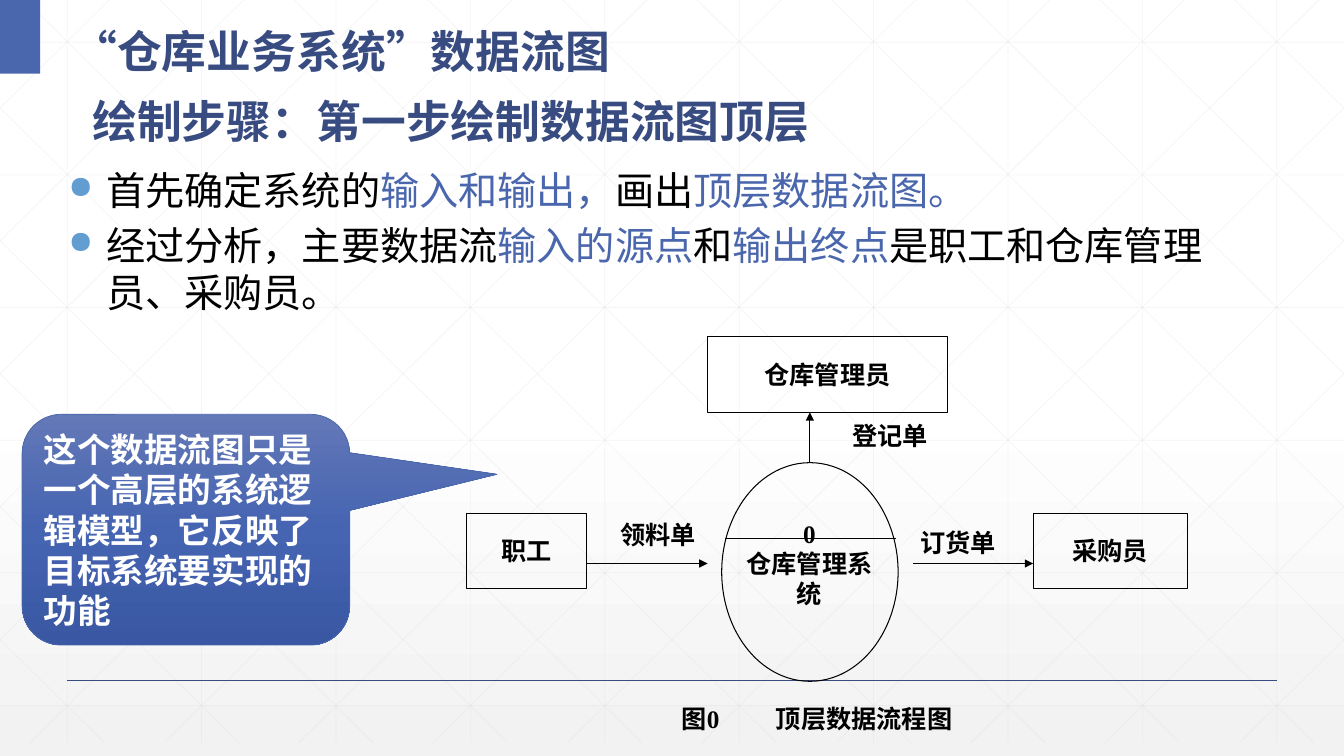
"""Builds the slide on the top-level data flow diagram of a warehouse system."""
import copy
from dataclasses import dataclass, field
from typing import Any

import pptx
import pptx.dml.color
import pptx.enum.dml
import pptx.enum.shapes
import pptx.enum.text
import pptx.oxml.ns
import pptx.util

Pt = pptx.util.Pt
qn = pptx.oxml.ns.qn
KIND = pptx.enum.shapes.MSO_SHAPE
ANCHOR = pptx.enum.text.MSO_ANCHOR
ALIGN = pptx.enum.text.PP_ALIGN

WIDTH, HEIGHT, GRID_BOTTOM = 960, 540, 530.6
COLORS = {
    "grid": "D9D9D9", "navy": "384C81", "accent": "4A66AC", "bullet": "629DD1",
    "black": "000000", "white": "FFFFFF", "paper": "F2F2F2",
    "callout_top": "6378B7", "callout_middle": "4564B1", "callout_bottom": "3957A2",
}
SANS, SERIF, ARIAL = "Noto Sans CJK SC", "Times New Roman", "Arial"


@dataclass
class Span:
    text: str
    color: str = "black"


@dataclass
class Para:
    spans: list[Span]
    size: float = 18
    font: str = SERIF
    bold: bool = True
    align: Any = ALIGN.CENTER
    leading: float = 0
    before: float = 0
    indent: float = 0
    bullet: str = ""
    tab: float = 0


@dataclass
class Box:
    left: float
    top: float
    width: float
    height: float
    paras: list[Para] = field(default_factory=list)
    kind: Any = None
    fill: str = ""
    outline: str = ""
    weight: float = 0.75
    anchor: Any = ANCHOR.MIDDLE
    margin_left: float = 7.2


@dataclass
class Line:
    x1: float
    y1: float
    x2: float
    y2: float
    color: str = "black"
    weight: float = 0.75
    arrow: bool = False
    opacity: int = 100


def rgb(name: str) -> pptx.dml.color.RGBColor:
    return pptx.dml.color.RGBColor.from_string(COLORS[name])


def apply(target: Any, values: dict[str, Any]) -> None:
    for name, value in values.items():
        setattr(target, name, value)


def add_child(parent: Any, tag: str, **attributes: str) -> None:
    child = parent.makeelement(qn(tag), attributes)
    parent.append(child)


def paint_gradient(fill: Any, element: Any, stops: list[tuple[float, str]]) -> None:
    fill.gradient()
    fill.gradient_angle = 270
    stop_list = element.find(".//" + qn("a:gsLst"))
    for _ in stops[2:]:
        stop_list.append(copy.deepcopy(stop_list[0]))
    for stop, (position, color) in zip(fill.gradient_stops, stops):
        stop.position = position
        stop.color.rgb = rgb(color)


def write_para(para: Any, item: Para) -> None:
    properties = para._p.get_or_add_pPr()
    if item.indent:
        properties.set("marL", str(Pt(item.indent)))
    if item.bullet:
        properties.set("indent", str(-Pt(item.indent)))
        add_child(properties, "a:buClr")
        add_child(properties[-1], "a:srgbClr", val=COLORS["bullet"])
        add_child(properties, "a:buSzPct", val="80000")
        add_child(properties, "a:buChar", char=item.bullet)
    if item.tab:
        add_child(properties, "a:tabLst")
        add_child(properties[-1], "a:tab", pos=str(Pt(item.tab)), algn="l")
    apply(para, {"alignment": item.align, "space_before": Pt(item.before),
                 "line_spacing": Pt(item.leading or item.size * 1.2)})
    for part in item.spans:
        span = para.add_run()
        span.text = part.text
        apply(span.font, {"name": item.font, "size": Pt(item.size), "bold": item.bold})
        span.font.color.rgb = rgb(part.color)
        add_child(span._r.get_or_add_rPr(), "a:ea", typeface=SANS)


def draw_box(page: Any, item: Box) -> Any:
    place = [Pt(value) for value in (item.left, item.top, item.width, item.height)]
    if item.kind is None:
        box = page.shapes.add_textbox(*place)
    else:
        box = page.shapes.add_shape(item.kind, *place)
        box.shadow.inherit = False
        for part, color in ((box.fill, item.fill), (box.line.fill, item.outline)):
            if color:
                part.solid()
                part.fore_color.rgb = rgb(color)
            else:
                part.background()
        if item.outline:
            box.line.width = Pt(item.weight)
    frame = box.text_frame
    apply(frame, {"word_wrap": True, "vertical_anchor": item.anchor,
                  "margin_left": Pt(item.margin_left)})
    for index, para in enumerate(item.paras):
        write_para(frame.add_paragraph() if index else frame.paragraphs[0], para)
    return box


def draw_line(page: Any, item: Line) -> None:
    ends = [Pt(value) for value in (item.x1, item.y1, item.x2, item.y2)]
    line = page.shapes.add_connector(pptx.enum.shapes.MSO_CONNECTOR.STRAIGHT, *ends)
    line.line.color.rgb = rgb(item.color)
    line.line.width = Pt(item.weight)
    if item.opacity < 100:
        add_child(line.element.find(".//" + qn("a:srgbClr")), "a:alpha", val=str(item.opacity * 1000))
    if item.arrow:
        add_child(line.element.find(".//" + qn("a:ln")), "a:tailEnd", type="triangle")
    add_child(line.element.spPr, "a:effectLst")


def grid_lines() -> list[Line]:
    style = {"color": "grid", "weight": 0.5, "opacity": 25}
    lines = [Line(48 + 96 * i, 0, 48 + 96 * i, GRID_BOTTOM, **style) for i in range(10)]
    lines += [Line(0, 30.2 + 94.75 * i, WIDTH, 30.2 + 94.75 * i, **style) for i in range(6)]
    slope = GRID_BOTTOM / 536.7
    for i in range(-5, 10):
        start = 18 + 96 * i
        x1, x2 = max(start, 0), min(start + 536.7, WIDTH)
        y1, y2 = (x1 - start) * slope, (x2 - start) * slope
        lines.append(Line(x1, y1, x2, y2, **style))
        lines.append(Line(WIDTH - x1, y1, WIDTH - x2, y2, **style))
    return lines


def label(text: str) -> list[Para]:
    return [Para([Span(text)])]


def main() -> None:
    deck = pptx.Presentation()
    apply(deck, {"slide_width": Pt(WIDTH), "slide_height": Pt(HEIGHT)})
    page = deck.slides.add_slide(deck.slide_layouts[6])
    paint_gradient(page.background.fill, page.element, [(0, "white"), (0.53, "white"), (1, "paper")])

    title = {"size": 32, "font": SANS, "align": ALIGN.LEFT, "leading": 50}
    point = {"size": 28, "font": SANS, "bold": False, "align": ALIGN.LEFT, "indent": 27, "bullet": "●"}
    entity = {"kind": KIND.RECTANGLE, "outline": "black"}
    boxes = [
        Box(0, 0, 28.8, 52.6, kind=KIND.RECTANGLE, fill="accent"),
        Box(44.6, 2, 593.3, 52.6, [
            Para([Span("“仓库业务系统”数据流图", "navy")], **title),
            Para([Span("绘制步骤：第一步绘制数据流图顶层", "navy")], indent=14.3, **title),
        ], anchor=ANCHOR.TOP),
        Box(41.8, 115, 841.7, 356.4, [
            Para([Span("首先确定系统的"), Span("输入和输出，", "accent"), Span("画出"),
                  Span("顶层数据流图。", "accent")], **point),
            Para([Span("经过分析，主要数据流"), Span("输入的源点", "accent"), Span("和"),
                  Span("输出终点", "accent"), Span("是职工和仓库管理员、采购员。")], before=5.6, **point),
        ], anchor=ANCHOR.TOP),
        Box(333.4, 366.5, 85.7, 54, label("职工"), **entity),
        Box(738, 366.5, 110.2, 54, label("采购员"), **entity),
        Box(505.4, 240.5, 171.4, 54, label("仓库管理员"), **entity),
        Box(515.5, 330.5, 126, 156.2, kind=KIND.OVAL, outline="black"),
        Box(524.2, 348.5, 108, 108, label("0") + label("仓库管理系统")),
        Box(416.2, 366.5, 108, 30.2, label("领料单")),
        Box(632.2, 372.2, 108, 30.2, label("订货单 ")),
        Box(583.9, 295.9, 108, 30.2, label("登记单 ")),
        Box(298, 492.5, 576, 41.8, [Para([Span("图0\t顶层数据流程图")], align=ALIGN.LEFT, tab=67.3)],
            margin_left=189),
    ]
    lines = [
        Line(48, 486, 912, 486, "navy", 1),
        Line(419, 402.5, 505.4, 402.5, arrow=True),
        Line(517.7, 384.5, 640, 384.5),
        Line(652.3, 402.5, 738, 402.5, arrow=True),
        Line(578.5, 330.5, 578.5, 294.5, arrow=True),
    ]
    for line in grid_lines() + lines:
        draw_line(page, line)
    for box in boxes:
        draw_box(page, box)

    remark = "这个数据流图只是一个高层的系统逻辑模型，它反映了目标系统要实现的功能"
    callout = draw_box(page, Box(
        15.8, 295.9, 234, 164.9, [Para([Span(remark, "white")], 24, ARIAL, align=ALIGN.LEFT)],
        kind=KIND.ROUNDED_RECTANGULAR_CALLOUT, outline="accent", weight=0.5))
    for index, value in enumerate((0.95, -0.24, 0.17)):
        callout.adjustments[index] = value
    paint_gradient(callout.fill, callout.element,
                   [(0, "callout_top"), (0.5, "callout_middle"), (1, "callout_bottom")])
    deck.save("out.pptx")


if __name__ == "__main__":
    main()
